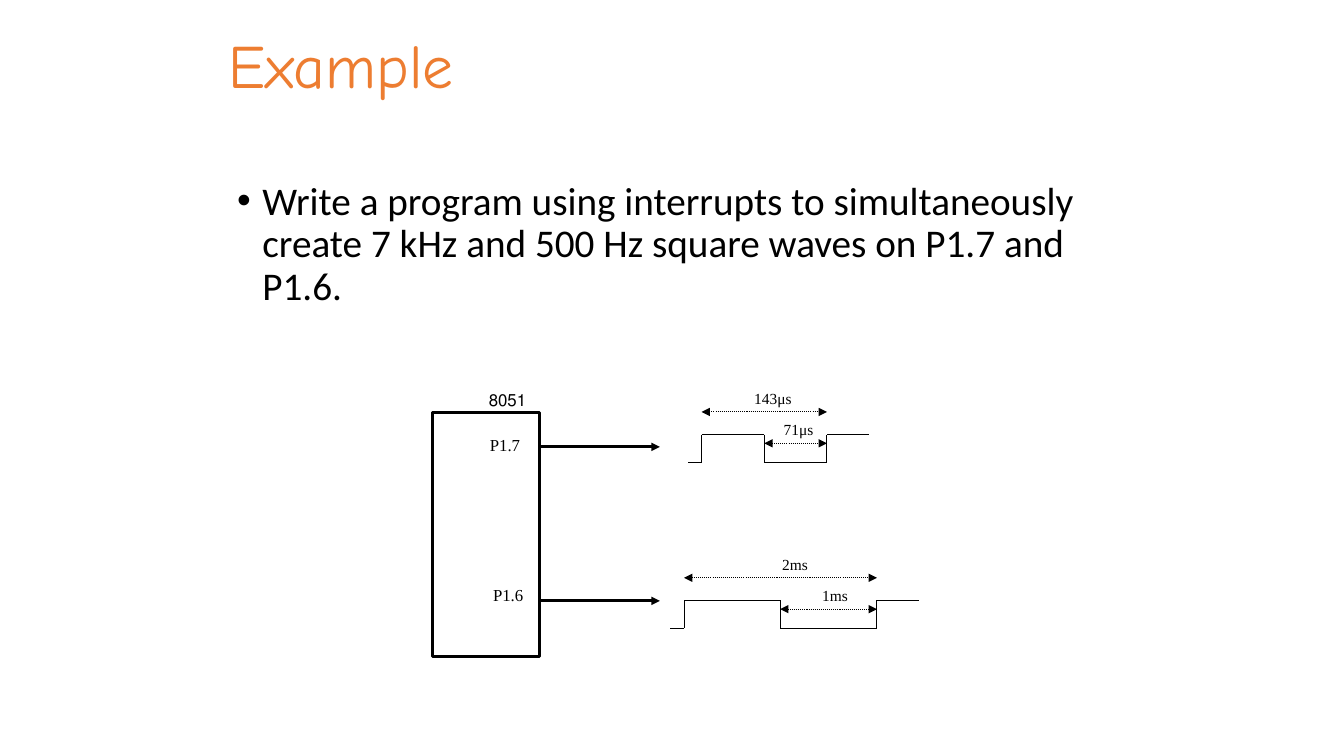
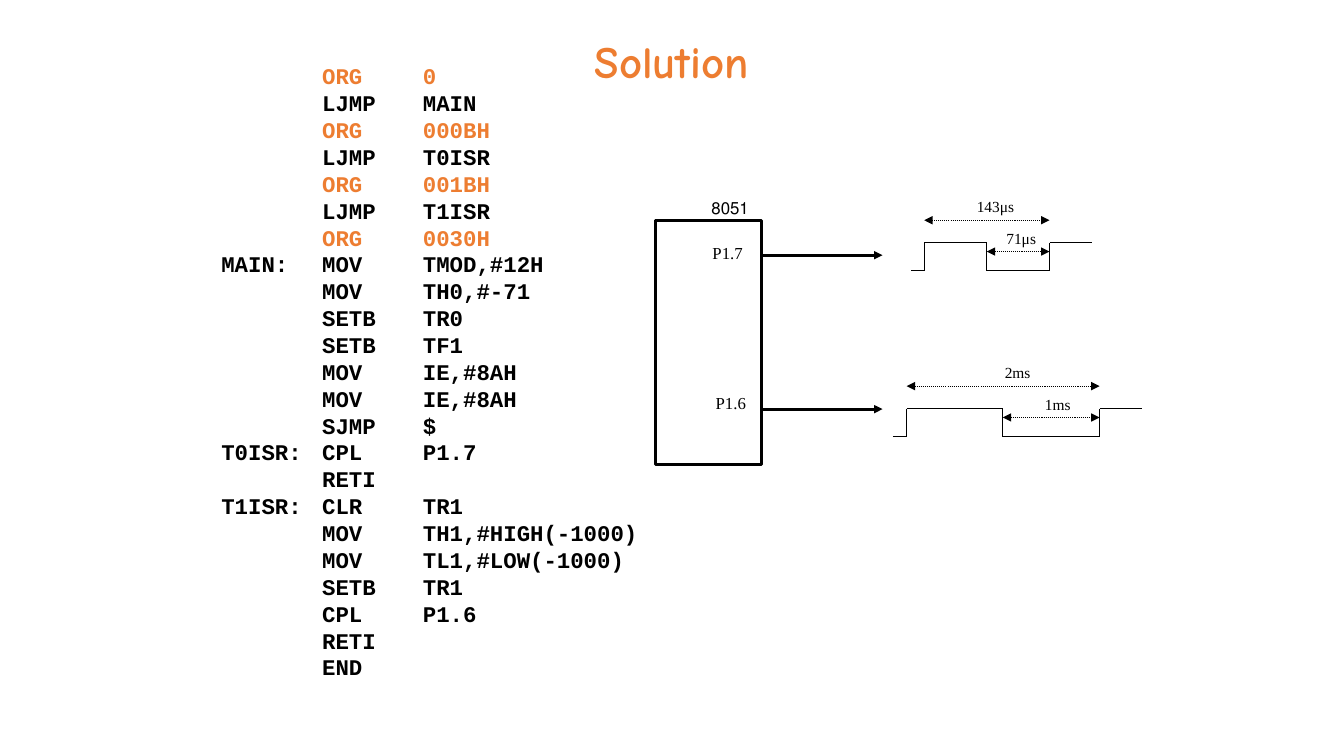
from itertools import pairwise

from pptx import Presentation
from pptx.dml.color import RGBColor
from pptx.enum.dml import MSO_LINE
from pptx.enum.shapes import MSO_CONNECTOR, MSO_SHAPE
from pptx.enum.text import MSO_ANCHOR, MSO_AUTO_SIZE, PP_ALIGN
from pptx.oxml.ns import qn
from pptx.util import Cm, Pt
from lxml.etree import SubElement

BLACK, ORANGE = "000000", "ED7D31"
TITLE_FONT, BODY_FONT = "Comic Neue", "Calibri"
CODE_FONT, LABEL_FONT = "Courier New", "Times New Roman"

TASK = ("Write a program using interrupts to simultaneously create 7 kHz "
        "and 500 Hz square waves on P1.7 and P1.6.")

# Label, instruction, operand
CODE = [
    ("", "ORG", "0"),
    ("", "LJMP", "MAIN"),
    ("", "ORG", "000BH"),
    ("", "LJMP", "T0ISR"),
    ("", "ORG", "001BH"),
    ("", "LJMP", "T1ISR"),
    ("", "ORG", "0030H"),
    ("MAIN:", "MOV", "TMOD,#12H"),
    ("", "MOV", "TH0,#-71"),
    ("", "SETB", "TR0"),
    ("", "SETB", "TF1"),
    ("", "MOV", "IE,#8AH"),
    ("", "MOV", "IE,#8AH"),
    ("", "SJMP", "$"),
    ("T0ISR:", "CPL", "P1.7"),
    ("", "RETI"),
    ("T1ISR:", "CLR", "TR1"),
    ("", "MOV", "TH1,#HIGH(-1000)"),
    ("", "MOV", "TL1,#LOW(-1000)"),
    ("", "SETB", "TR1"),
    ("", "CPL", "P1.6"),
    ("", "RETI"),
    ("", "END"),
]

# Centimetres, measured from the top left corner of the chip
CHIP_WIDTH, CHIP_HEIGHT = 2.69, 6.15
PIN_ARROW_END = 5.73
WAVE_DEPTH = 0.7
PINS = [
    {"name": "P1.7", "name_at": (0.71, 0.43), "arrow_y": 0.87, "high": 0.56,
     "edges": (6.45, 6.78, 8.36, 9.94, 11.0),
     "period": ("143μs", 7.62), "half": ("71μs", 8.48)},
    {"name": "P1.6", "name_at": (0.79, 4.22), "arrow_y": 4.75, "high": 4.74,
     "edges": (5.99, 6.34, 8.76, 11.2, 12.27),
     "period": ("2ms", 8.03), "half": ("1ms", 9.35)},
]


def color(hex_value):
    """Turn a hex string into a colour."""
    return RGBColor.from_string(hex_value)


def style_font(paragraph, name, size, hex_value=BLACK, bold=False):
    """Set the font of a whole paragraph."""
    font = paragraph.font
    font.name, font.size, font.bold = name, Pt(size), bold
    font.color.rgb = color(hex_value)


def place(shape, left, top, width, height):
    """Move and size a shape, in centimetres."""
    shape.left, shape.top = Cm(left), Cm(top)
    shape.width, shape.height = Cm(width), Cm(height)


def set_title(slide, text, box, size, bold=False, line_spacing=1.0):
    """Fill the title placeholder in the shared title style."""
    title = slide.shapes.title
    place(title, *box)
    frame = title.text_frame
    frame.text = text
    frame.auto_size = MSO_AUTO_SIZE.NONE
    frame.vertical_anchor = MSO_ANCHOR.TOP
    paragraph = frame.paragraphs[0]
    paragraph.alignment = PP_ALIGN.LEFT
    paragraph.line_spacing = line_spacing
    style_font(paragraph, TITLE_FONT, size, ORANGE, bold)


def add_line(shapes, start, end, width=0.75, dotted=False, heads=()):
    """Draw a line in centimetres, with arrowheads at the named ends."""
    points = [Cm(value) for value in (*start, *end)]
    connector = shapes.add_connector(MSO_CONNECTOR.STRAIGHT, *points)
    connector.line.color.rgb = color(BLACK)
    connector.line.width = Pt(width)
    if dotted:
        connector.line.dash_style = MSO_LINE.ROUND_DOT
    properties = connector._element.spPr
    outline = properties.find(qn("a:ln"))
    for head in heads:
        SubElement(outline, qn(f"a:{head}")).set("type", "triangle")
    SubElement(properties, qn("a:effectLst"))


def add_label(shapes, text, left, top, width, height, size):
    """Add a right-aligned, right-to-left label."""
    label = shapes.add_textbox(Cm(left), Cm(top), Cm(width), Cm(height))
    label.text_frame.word_wrap = True
    paragraph = label.text_frame.paragraphs[0]
    paragraph.text = text
    paragraph.alignment = PP_ALIGN.RIGHT
    paragraph._p.get_or_add_pPr().set("rtl", "1")
    style_font(paragraph, LABEL_FONT, size)


def add_span(shapes, text, text_left, start, end, y, width):
    """Draw a dotted double arrow with its duration above."""
    add_line(shapes, (start, y), (end, y), dotted=True,
             heads=("headEnd", "tailEnd"))
    add_label(shapes, text, text_left, y - 0.7, width, 0.74, 11)


def add_wave(shapes, pin, left, top):
    """Draw one square wave with its period and half period."""
    begin, rise, fall, next_rise, end = (left + x for x in pin["edges"])
    high = top + pin["high"]
    low = high + WAVE_DEPTH
    corners = [(begin, low), (rise, low), (rise, high), (fall, high),
               (fall, low), (next_rise, low), (next_rise, high), (end, high)]
    for start, stop in pairwise(corners):
        add_line(shapes, start, stop)
    text, text_left = pin["period"]
    add_span(shapes, text, left + text_left, rise, next_rise, high - 0.57, 1.68)
    text, text_left = pin["half"]
    add_span(shapes, text, left + text_left, fall, next_rise, high + 0.22, 1.37)


def add_diagram(slide, left, top):
    """Draw the chip, its two output pins and their waves as a group."""
    shapes = slide.shapes.add_group_shape().shapes
    chip = shapes.add_shape(MSO_SHAPE.RECTANGLE, Cm(left), Cm(top),
                            Cm(CHIP_WIDTH), Cm(CHIP_HEIGHT))
    chip.shadow.inherit = False
    chip.fill.background()
    chip.line.color.rgb = color(BLACK)
    chip.line.width = Pt(2)
    add_label(shapes, "8051", left + 0.25, top - 0.69, 2.36, 0.79, 12)
    for pin in PINS:
        y = top + pin["arrow_y"]
        add_line(shapes, (left + CHIP_WIDTH, y), (left + PIN_ARROW_END, y),
                 width=2, heads=("tailEnd",))
        name_left, name_top = pin["name_at"]
        add_label(shapes, pin["name"], left + name_left, top + name_top,
                  1.75, 0.86, 12)
        add_wave(shapes, pin, left, top)


def add_task(slide):
    """Fill the body placeholder with the bulleted task."""
    body = slide.placeholders[1]
    place(body, 5.72, 4.45, 21.59, 3.89)
    body.text_frame.text = TASK
    body.text_frame.auto_size = MSO_AUTO_SIZE.NONE
    paragraph = body.text_frame.paragraphs[0]
    paragraph.line_spacing = 0.9
    paragraph.space_before = Pt(10)
    properties = paragraph._p.get_or_add_pPr()
    properties.set("marL", str(Cm(0.64)))
    properties.set("indent", str(Cm(-0.64)))
    style_font(paragraph, BODY_FONT, 28)


def add_code(slide):
    """List the program in tabbed columns, with ORG lines in orange."""
    box = slide.shapes.add_textbox(Cm(5.33), Cm(1.42), Cm(12.22), Cm(15.88))
    frame = box.text_frame
    frame.word_wrap = True
    frame.vertical_anchor = MSO_ANCHOR.MIDDLE
    frame.text = "\n".join("\t".join(line) for line in CODE)
    for paragraph, line in zip(frame.paragraphs, CODE):
        paragraph.line_spacing = Pt(19.2)
        paragraph._p.get_or_add_pPr().set("defTabSz", str(Cm(2.54)))
        hex_value = ORANGE if line[1] == "ORG" else BLACK
        style_font(paragraph, CODE_FONT, 16, hex_value, bold=True)


presentation = Presentation()
presentation.slide_width, presentation.slide_height = Cm(33.87), Cm(19.05)
TITLE_AND_CONTENT = presentation.slide_layouts[1]
TITLE_ONLY = presentation.slide_layouts[5]

example = presentation.slides.add_slide(TITLE_AND_CONTENT)
set_title(example, "Example", (5.51, 0.76, 22.86, 2.36), 44, line_spacing=0.9)
add_task(example)
add_diagram(example, 10.9, 10.39)

solution = presentation.slides.add_slide(TITLE_ONLY)
set_title(solution, "Solution", (14.73, 0.71, 4.83, 1.6), 32, bold=True)
add_diagram(solution, 16.51, 5.56)
add_code(solution)

presentation.save("out.pptx")
